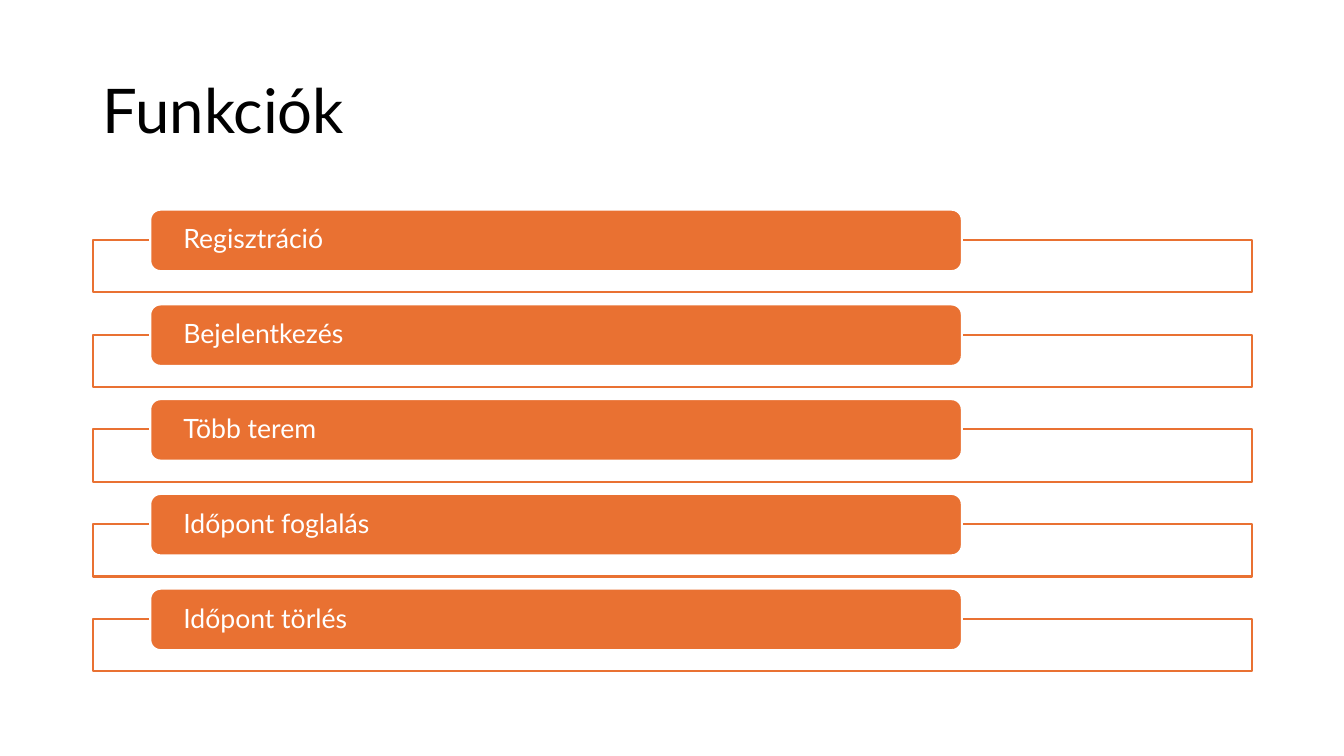
"""Build the slide that lists the functions of the booking system."""
from dataclasses import dataclass

from pptx import Presentation
from pptx.dml.color import RGBColor
from pptx.enum.shapes import MSO_SHAPE
from pptx.enum.text import MSO_ANCHOR, PP_ALIGN
from pptx.shapes.autoshape import Shape
from pptx.slide import Slide
from pptx.text.text import TextFrame
from pptx.util import Inches, Pt

RECTANGLE = MSO_SHAPE.RECTANGLE
ROUNDED = MSO_SHAPE.ROUNDED_RECTANGLE
MIDDLE = MSO_ANCHOR.MIDDLE
LEFT = PP_ALIGN.LEFT

BLACK = RGBColor(0x00, 0x00, 0x00)
WHITE = RGBColor(0xFF, 0xFF, 0xFF)
ORANGE = RGBColor(0xE9, 0x71, 0x32)
FONT = "Lato"

FUNCTIONS = [
    "Regisztráció",
    "Bejelentkezés",
    "Több terem",
    "Időpont foglalás",
    "Időpont törlés",
]
FIRST_TOP = 2.08
ROW_PITCH = 0.94
FRAME_DROP = 0.3


@dataclass(frozen=True)
class Box:
    left: float
    top: float
    width: float
    height: float


@dataclass(frozen=True)
class FunctionRow:
    label: str
    top: float


def write_text(frame: TextFrame, text: str, size: float, color: RGBColor) -> None:
    frame.word_wrap = True
    frame.vertical_anchor = MIDDLE
    para = frame.paragraphs[0]
    para.alignment = LEFT
    para.line_spacing = 0.9
    span = para.add_run()
    span.text = text
    span.font.name = FONT
    span.font.size = Pt(size)
    span.font.color.rgb = color


def add_panel(page: Slide, kind: MSO_SHAPE, box: Box, fill: RGBColor, line: RGBColor) -> Shape:
    panel = page.shapes.add_shape(
        kind, Inches(box.left), Inches(box.top), Inches(box.width), Inches(box.height)
    )
    panel.shadow.inherit = False
    panel.fill.solid()
    panel.fill.fore_color.rgb = fill
    panel.line.color.rgb = line
    panel.line.width = Pt(1.5)
    return panel


def add_function_row(page: Slide, row: FunctionRow) -> None:
    frame_box = Box(0.92, row.top + FRAME_DROP, 11.5, 0.52)
    add_panel(page, RECTANGLE, frame_box, WHITE, ORANGE)
    bar = add_panel(page, ROUNDED, Box(1.49, row.top, 8.05, 0.61), ORANGE, WHITE)
    frame = bar.text_frame
    frame.margin_left = frame.margin_right = Inches(0.3)
    frame.margin_top = frame.margin_bottom = Inches(0)
    write_text(frame, row.label, 19, WHITE)


def add_title(page: Slide, text: str) -> None:
    title = page.shapes.title
    title.left, title.top = Inches(0.92), Inches(0.4)
    title.width, title.height = Inches(11.5), Inches(1.45)
    write_text(title.text_frame, text, 44, BLACK)


def main() -> None:
    deck = Presentation()
    deck.slide_width, deck.slide_height = Inches(13.33), Inches(7.5)
    page = deck.slides.add_slide(deck.slide_layouts.get_by_name("Title Only"))
    add_title(page, "Funkciók")
    for index, label in enumerate(FUNCTIONS):
        add_function_row(page, FunctionRow(label, FIRST_TOP + index * ROW_PITCH))
    deck.save("out.pptx")


if __name__ == "__main__":
    main()
